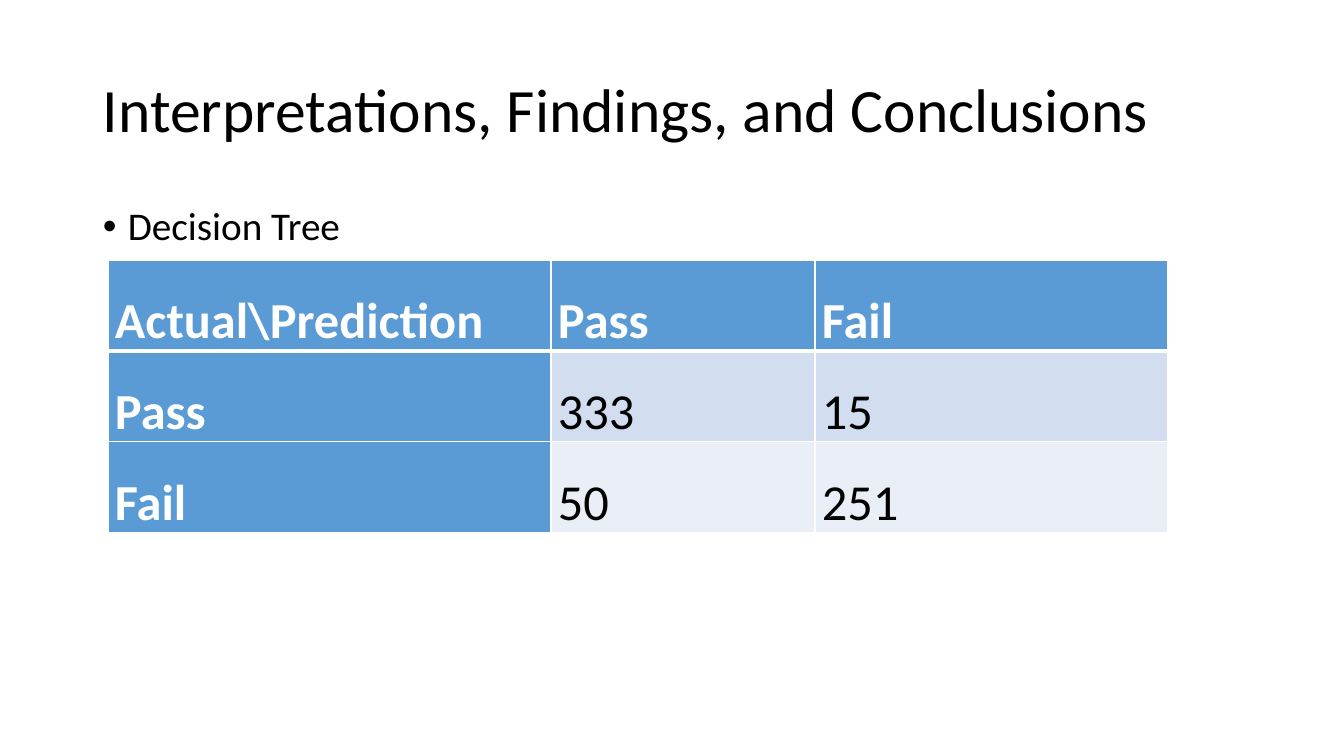
from lxml import etree
from pptx import Presentation, util as u
from pptx.dml.color import RGBColor
from pptx.enum import text
from pptx.oxml.ns import qn

TITLE = "Interpretations, Findings, and Conclusions"
MODEL = "Decision Tree"
MATRIX = [
    ("Actual\\Prediction", "Pass", "Fail"),
    ("Pass", "333", "15"),
    ("Fail", "50", "251"),
]
COLORS = {"ink": "000000", "white": "FFFFFF", "head": "5B9BD5",
          "odd": "D2DEEF", "even": "EAEFF7"}
COLS = (443, 264, 353)
ROW = 79
FONT = "Calibri"


def px(n):
    return round(n * 914400 / 100.8)


def rgb(name):
    return RGBColor.from_string(COLORS[name])


def style(par, words, size, color="ink", bold=False, **form):
    for key, val in form.items():
        setattr(par, key, val)
    run = par.add_run()
    run.text = words
    look = {"name": FONT, "size": u.Pt(size), "bold": bold}
    for key, val in look.items():
        setattr(run.font, key, val)
    run.font.color.rgb = rgb(color)


def add_text(box, words, size, anchor, **form):
    frame = slide.shapes.add_textbox(*map(px, box)).text_frame
    frame.word_wrap = True
    frame.vertical_anchor = anchor
    par = frame.paragraphs[0]
    style(par, words, size, line_spacing=0.9, **form)
    return par


def add_edge(cell, side, width):
    props = cell._tc.get_or_add_tcPr()
    line = etree.SubElement(props, qn(f"a:ln{side}"), w=str(u.Pt(width)))
    fill = etree.SubElement(line, qn("a:solidFill"))
    etree.SubElement(fill, qn("a:srgbClr"), val=COLORS["white"])


def fill_cell(cell, words, row, col):
    head = row == 0 or col == 0
    for side in "LRTB":
        thick = (row, side) in ((0, "B"), (1, "T"))
        add_edge(cell, side, 3 if thick else 1)
    cell.fill.solid()
    cell.fill.fore_color.rgb = rgb("head" if head else "odd" if row % 2 else "even")
    form = {"margin_left": px(7), "margin_right": px(7),
            "margin_top": 0, "margin_bottom": 0}
    for key, val in form.items():
        setattr(cell, key, val)
    style(cell.text_frame.paragraphs[0], words, 36, "white" if head else "ink", head,
          alignment=text.PP_ALIGN.JUSTIFY, line_spacing=1.5)


deck = Presentation()
deck.slide_width, deck.slide_height = px(1344), px(756)
slide = deck.slides.add_slide(deck.slide_layouts[6])

add_text((93, 40, 1159, 146), TITLE, 44, text.MSO_ANCHOR.MIDDLE)
item = add_text((93, 202, 1159, 480), MODEL, 28, text.MSO_ANCHOR.TOP,
                space_before=u.Pt(10))
props = item._p.get_or_add_pPr()
props.set("marL", str(px(25)))
props.set("indent", str(px(-25)))
etree.SubElement(props, qn("a:buFont"), typeface="Arial")
etree.SubElement(props, qn("a:buChar"), char="•")

frame = slide.shapes.add_table(len(MATRIX), len(COLS), px(108), px(260),
                               px(sum(COLS)), px(ROW * len(MATRIX)))
grid = frame.table
for col, width in zip(grid.columns, COLS):
    col.width = px(width)
for r, row in enumerate(MATRIX):
    grid.rows[r].height = px(ROW)
    for c, words in enumerate(row):
        fill_cell(grid.cell(r, c), words, r, c)

deck.save("out.pptx")
